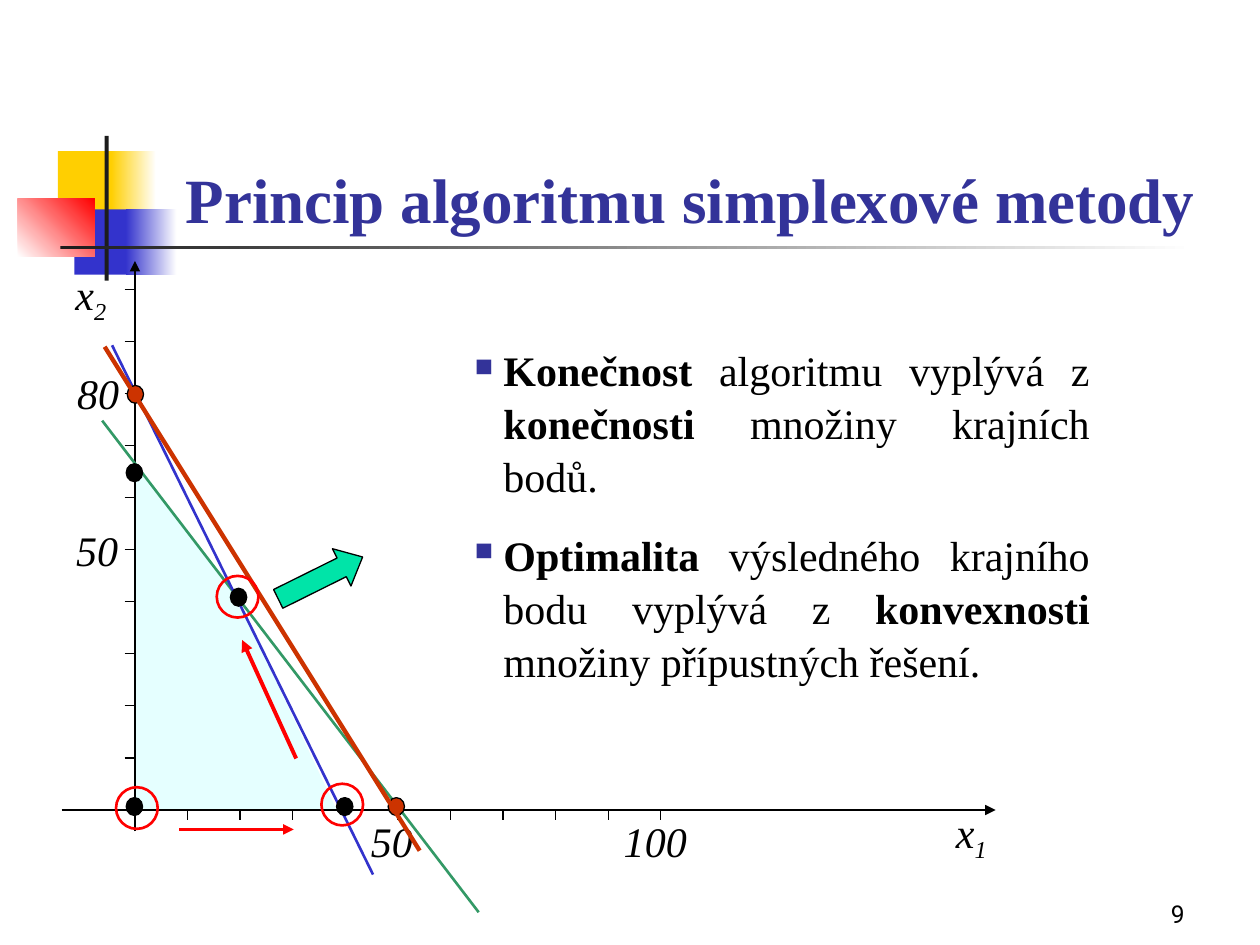
import pptx
import pptx.util
import pptx.dml.color
import pptx.enum.shapes
import pptx.enum.text
from lxml import etree
from pptx.oxml.ns import qn

Cm, Pt = pptx.util.Cm, pptx.util.Pt
MSO = pptx.enum.shapes.MSO_SHAPE
ALIGN = pptx.enum.text.PP_ALIGN
ANCHOR = pptx.enum.text.MSO_ANCHOR

# ---- Content (lengths in cm, sizes in points) ----
COLORS = {
    "white": "FFFFFF", "black": "000000", "ink": "1C1C1C", "yellow": "FFCF01",
    "blue": "3333CC", "navy": "333399", "red": "FF0000", "orange": "CC3300",
    "green": "339966", "mint": "00E4A8", "aqua": "CCFFFF",
}
SERIF = "Times New Roman"
TITLE = {"name": SERIF, "size": Pt(36), "bold": True}
LABEL = {"name": SERIF, "size": Pt(24), "italic": True}
BODY = {"name": SERIF, "size": Pt(24)}
BOLD = {**BODY, "bold": True}
NUMBER = {"name": "Roboto", "size": Pt(14)}

# left, top, width, height, fill colour or (start, end, angle)
DECOR = [
    (1.17, 3.05, 1.22, 1.32, "yellow"),
    (2.24, 3.05, 0.91, 1.32, ("yellow", "white", 0)),
    (1.5, 4.22, 1.17, 1.32, "blue"),
    (2.54, 4.22, 1.02, 1.32, ("blue", "white", 0)),
    (0.36, 4.01, 1.55, 1.17, ("white", "red", 45)),
    (2.11, 2.74, 0.08, 2.92, "ink"),
    (1.22, 4.95, 22.86, 0.08, ("ink", "white", 0)),
]
ORIGIN_X, ORIGIN_Y = 2.72, 16.33
STEP_X, STEP_Y, TICK, TICKS = 1.06, 1.05, 0.21, 10
AXES = [((2.72, 16.76), (2.72, 5.26)), ((1.24, 16.33), (20.07, 16.33))]
FEASIBLE = [(2.74, 9.32), (2.74, 16.31), (6.78, 16.31), (4.75, 12.01)]
AXIS_NAMES = [("1", 19.02, 16.13), ("2", 1.27, 5.28)]
SCALE_LABELS = [("50", 6.63, 16.31), ("50", 0.69, 10.44),
                ("100", 11.94, 16.31), ("80", 0.71, 7.29)]
CONSTRAINTS = [((2.06, 8.48), (9.65, 18.39), "green"),
               ((2.26, 6.96), (7.52, 17.63), "blue")]
OBJECTIVE = ((2.11, 6.99), (8.46, 17.15))
OBJECTIVE_POINTS = [(2.73, 7.95), (7.99, 16.26)]
CORNERS = [(2.71, 9.53), (4.81, 12.04), (6.95, 16.26), (2.71, 16.26)]
VISITED = [(2.76, 16.29), (6.9, 16.22), (4.79, 12.03)]
MOVES = [((3.61, 16.72), (5.92, 16.72), 2), ((5.97, 15.29), (4.88, 12.9), 2.25)]
BULLETS = [
    [("Konečnost", BOLD), (" algoritmu vyplývá z ", BODY),
     ("konečnosti", BOLD), (" množiny krajních bodů.", BODY)],
    [("Optimalita", BOLD), (" výsledného krajního bodu vyplývá z ", BODY),
     ("konvexnosti", BOLD), (" množiny přípustných řešení.", BODY)],
]

prs = pptx.Presentation()
prs.slide_width, prs.slide_height = Cm(25.4), Cm(19.05)
s = prs.slides.add_slide(prs.slide_layouts[6])


def rgb(name):
    return pptx.dml.color.RGBColor.from_string(COLORS[name])


def style(sp, fill=None, line=None, width=0.75):
    sp.shadow.inherit = False
    if fill is None:
        sp.fill.background()
    elif isinstance(fill, tuple):
        sp.fill.gradient()
        sp.fill.gradient_angle = fill[2]
        for stop, name, pos in zip(sp.fill.gradient_stops, fill, (0, 1)):
            stop.color.rgb, stop.position = rgb(name), pos
    else:
        sp.fill.solid()
        sp.fill.fore_color.rgb = rgb(fill)
    if line:
        sp.line.color.rgb, sp.line.width = rgb(line), Pt(width)
    else:
        sp.line.fill.background()


def shape(kind, x, y, w, h, **look):
    sp = s.shapes.add_shape(kind, Cm(x), Cm(y), Cm(w), Cm(h))
    style(sp, **look)
    return sp


def ovals(centres, w, h, **look):
    for x, y in centres:
        shape(MSO.OVAL, x - w / 2, y - h / 2, w, h, **look)


def line(start, end, color="black", width=0.75, arrow=False):
    c = s.shapes.add_connector(pptx.enum.shapes.MSO_CONNECTOR.STRAIGHT,
                               *map(Cm, start + end))
    c.line.color.rgb, c.line.width = rgb(color), Pt(width)
    if arrow:
        etree.SubElement(c.line._get_or_add_ln(), qn("a:tailEnd"), type="triangle")
    etree.SubElement(c._element.spPr, qn("a:effectLst"))


def text(x, y, w, h, paragraphs, align=ALIGN.LEFT, anchor=ANCHOR.TOP,
         color="black", before=0):
    tf = s.shapes.add_textbox(Cm(x), Cm(y), Cm(w), Cm(h)).text_frame
    tf.word_wrap, tf.vertical_anchor = True, anchor
    for i, runs in enumerate(paragraphs):
        p = tf.add_paragraph() if i else tf.paragraphs[0]
        p.alignment, p.space_before = align, Pt(before)
        for words, font in runs:
            r = p.add_run()
            r.text = words
            r.font.color.rgb = rgb(color)
            for key, value in font.items():
                setattr(r.font, key, value)
    return tf


# ---- Corner decoration, slide number, title ----
for x, y, w, h, fill in DECOR:
    shape(MSO.RECTANGLE, x, y, w, h, fill=fill)
text(18.85, 17.58, 5.28, 1.27, [[("9", NUMBER)]], ALIGN.RIGHT, ANCHOR.BOTTOM)

# ---- Feasible region ----
fb = s.shapes.build_freeform(*map(Cm, FEASIBLE[0]))
fb.add_line_segments([(Cm(x), Cm(y)) for x, y in FEASIBLE[1:]], close=True)
region = fb.convert_to_shape()
style(region, fill="aqua")
tint = region._element.spPr.find(qn("a:solidFill"))[0]
etree.SubElement(tint, qn("a:alpha"), val="50000")

text(3.1, 1.7, 21.64, 3.18, [[("Princip algoritmu simplexové metody", TITLE)]],
     ALIGN.CENTER, ANCHOR.BOTTOM, "navy")

# ---- Axes, ticks and labels ----
for index, x, y in AXIS_NAMES:
    tf = text(x, y, 2.74, 1.42, [[("x", LABEL), (index, LABEL)]], before=15)
    tf.paragraphs[0].runs[1].font._element.set("baseline", "-25000")
for start, end in AXES:
    line(start, end, arrow=True)
for k in range(1, TICKS + 1):
    x, y = ORIGIN_X + k * STEP_X, ORIGIN_Y - k * STEP_Y
    line((x, ORIGIN_Y), (x, ORIGIN_Y + TICK))
    line((ORIGIN_X - TICK, y), (ORIGIN_X, y))
for words, x, y in SCALE_LABELS:
    text(x, y, 2.54, 1.27, [[(words, LABEL)]], ALIGN.CENTER, before=15)

# ---- Constraints, objective and corner points ----
for start, end, color in CONSTRAINTS:
    line(start, end, color, 1.5)
ovals(OBJECTIVE_POINTS, 0.33, 0.36, fill="orange", line="black")
line(*OBJECTIVE, "orange", 2.5)
ovals(CORNERS, 0.33, 0.36, fill="black", line="black")

# ---- Growth direction and path of the algorithm ----
growth = shape(MSO.RIGHT_ARROW, 5.51, 11.23, 1.9, 0.84, fill="mint", line="black")
growth.rotation = 333.6
growth.adjustments[1] = 0.56
ovals(VISITED, 0.84, 0.84, line="red", width=1.5)
for start, end, width in MOVES:
    line(start, end, "red", width, arrow=True)

# ---- Bulleted text ----
tf = text(9.32, 6.78, 12.9, 7.42, BULLETS, ALIGN.JUSTIFY, before=15)
for p in tf.paragraphs:
    p.line_spacing = 1.05
    pPr = p._p.get_or_add_pPr()
    pPr.set("marL", str(Cm(0.58)))
    pPr.set("indent", str(-Cm(0.58)))
    tone = etree.SubElement(pPr, qn("a:buClr"))
    etree.SubElement(tone, qn("a:srgbClr"), val=COLORS["navy"])
    etree.SubElement(pPr, qn("a:buSzPct"), val="60000")
    etree.SubElement(pPr, qn("a:buChar"), char="■")

prs.save("out.pptx")
